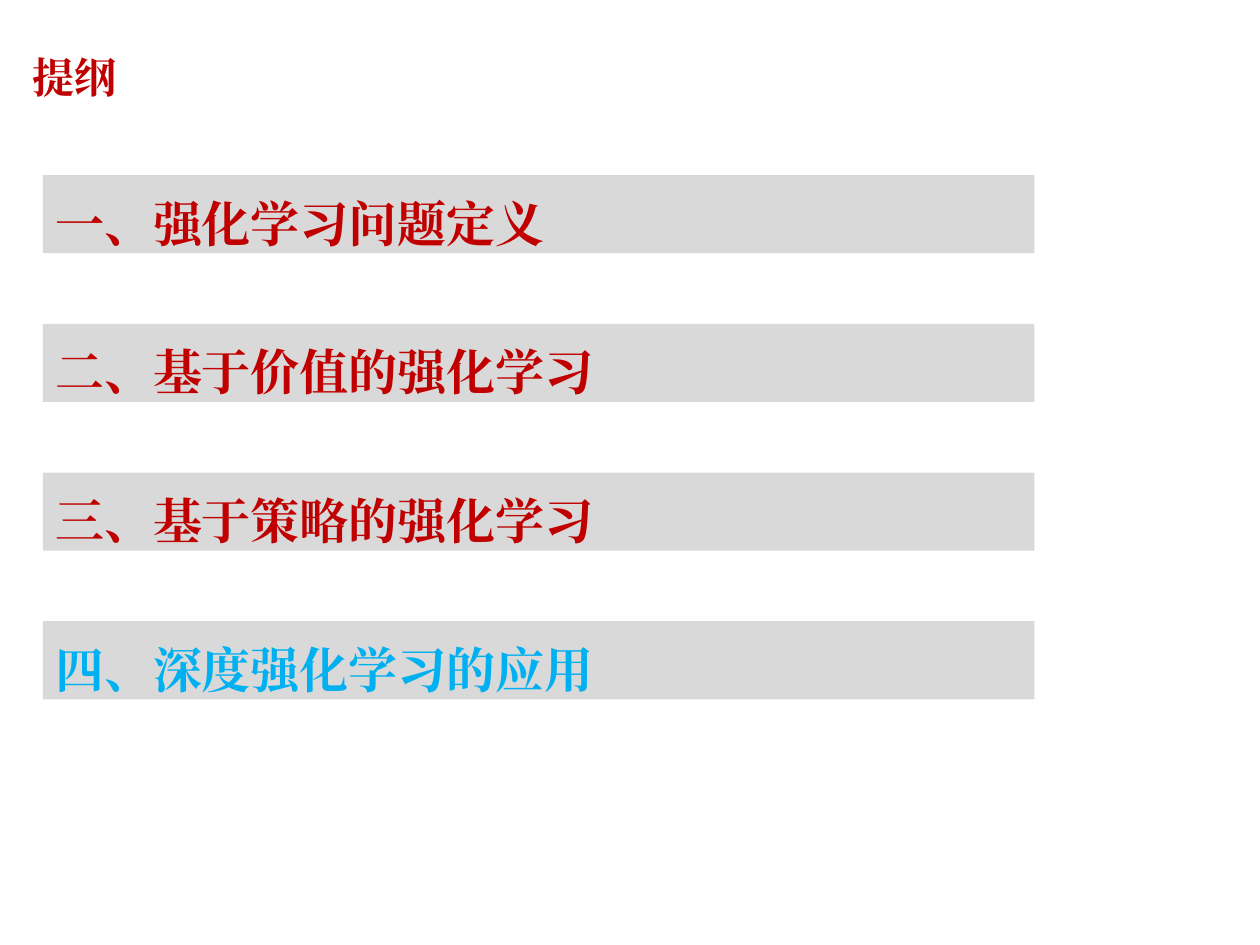
from dataclasses import dataclass

from lxml import etree
from pptx import Presentation
from pptx.dml.color import RGBColor
from pptx.enum.shapes import MSO_SHAPE
from pptx.enum.text import MSO_ANCHOR, MSO_AUTO_SIZE, PP_ALIGN
from pptx.oxml.ns import qn
from pptx.slide import Slide
from pptx.util import Inches, Pt

RECTANGLE = MSO_SHAPE.RECTANGLE
TOP, MIDDLE = MSO_ANCHOR.TOP, MSO_ANCHOR.MIDDLE
FIXED, GROW = MSO_AUTO_SIZE.NONE, MSO_AUTO_SIZE.SHAPE_TO_FIT_TEXT
LEFT = PP_ALIGN.LEFT

RED = RGBColor(0xC0, 0x00, 0x00)
BLUE = RGBColor(0x00, 0xB0, 0xF0)
GREY = RGBColor(0xD9, 0xD9, 0xD9)

WIDTH, HEIGHT = 10, 7.5
BAR_LEFT, BAR_WIDTH, BAR_HEIGHT = 0.34, 7.87, 0.62
FIRST_BAR, BAR_STEP = 1.39, 1.18

SECTIONS = [
    ("一、强化学习问题定义", RED),
    ("二、基于价值的强化学习", RED),
    ("三、基于策略的强化学习", RED),
    ("四、深度强化学习的应用", BLUE),
]


def write_text(frame, text, *, size, color, font, anchor=TOP, fit=FIXED,
               inset=0.1, line_spacing=1.0):
    frame.word_wrap = True
    frame.auto_size = fit
    frame.vertical_anchor = anchor
    frame.margin_left = Inches(inset)
    paragraph = frame.paragraphs[0]
    paragraph.alignment = LEFT
    paragraph.line_spacing = line_spacing
    run = paragraph.add_run()
    run.text = text
    run.font.size = Pt(size)
    run.font.bold = True
    run.font.color.rgb = color
    run.font.name = font
    east_asian = etree.SubElement(run.font._element, qn("a:ea"))
    east_asian.set("typeface", font)


@dataclass
class Outline:
    slide: Slide
    font: str = "Times New Roman"
    title_size: int = 24
    section_size: int = 28

    def title(self, text):
        box = self.slide.shapes.add_textbox(
            Inches(0.02), Inches(0.11), Inches(7.42), Inches(0.99))
        write_text(box.text_frame, text, size=self.title_size, color=RED,
                   font=self.font, anchor=MIDDLE, inset=0.24)

    def section(self, row, text, color):
        bar = self.slide.shapes.add_shape(
            RECTANGLE, Inches(BAR_LEFT), Inches(FIRST_BAR + row * BAR_STEP),
            Inches(BAR_WIDTH), Inches(BAR_HEIGHT))
        bar.shadow.inherit = False
        bar.fill.solid()
        bar.fill.fore_color.rgb = GREY
        bar.line.fill.background()
        write_text(bar.text_frame, text, size=self.section_size, color=color,
                   font=self.font, fit=GROW, line_spacing=1.2)


def main():
    deck = Presentation()
    deck.slide_width, deck.slide_height = Inches(WIDTH), Inches(HEIGHT)
    outline = Outline(deck.slides.add_slide(deck.slide_layouts[6]))
    outline.title("提纲")
    for row, (text, color) in enumerate(SECTIONS):
        outline.section(row, text, color)
    deck.save("out.pptx")


if __name__ == "__main__":
    main()
